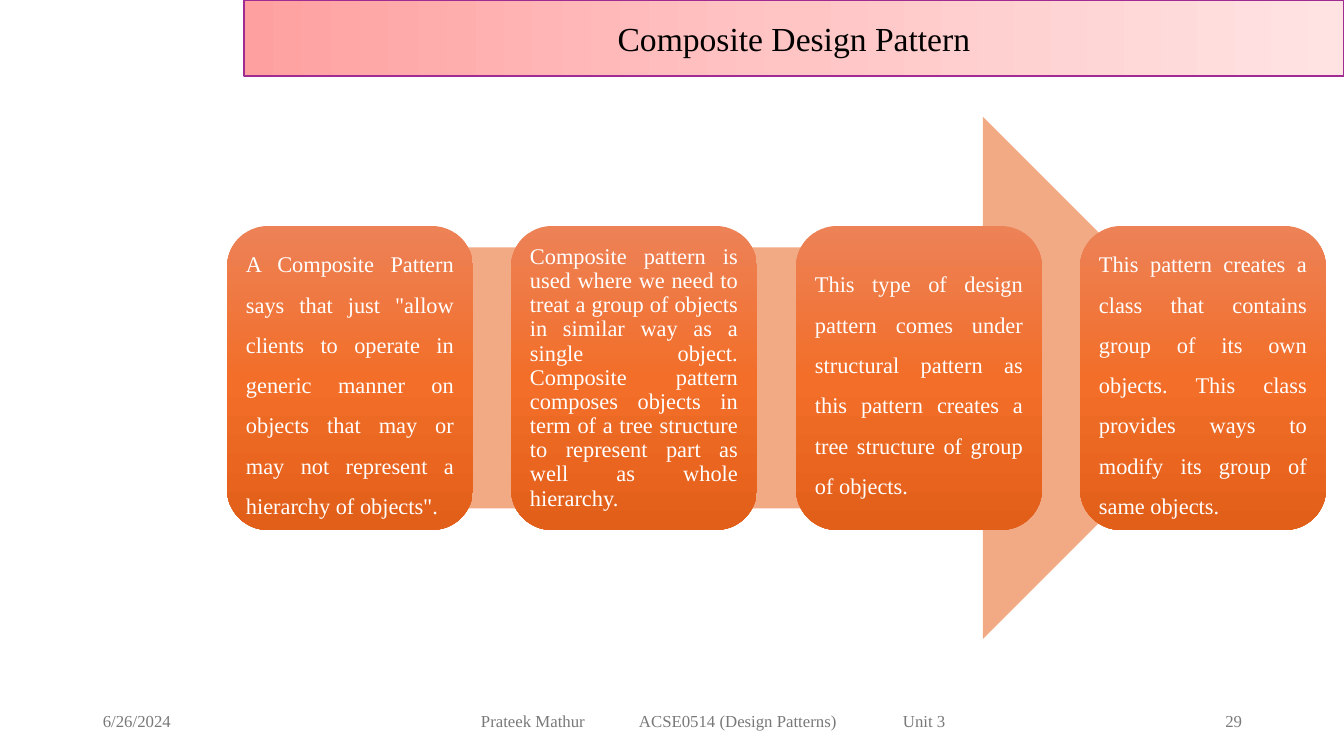
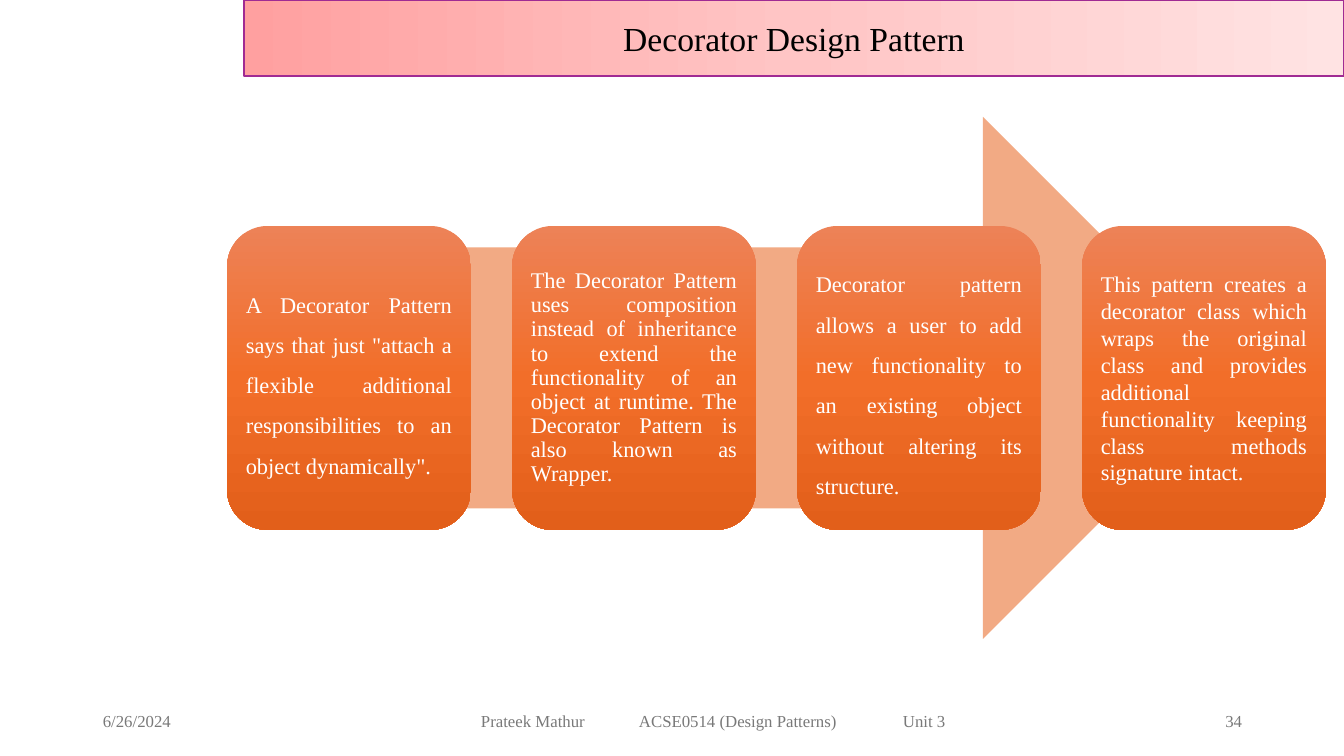
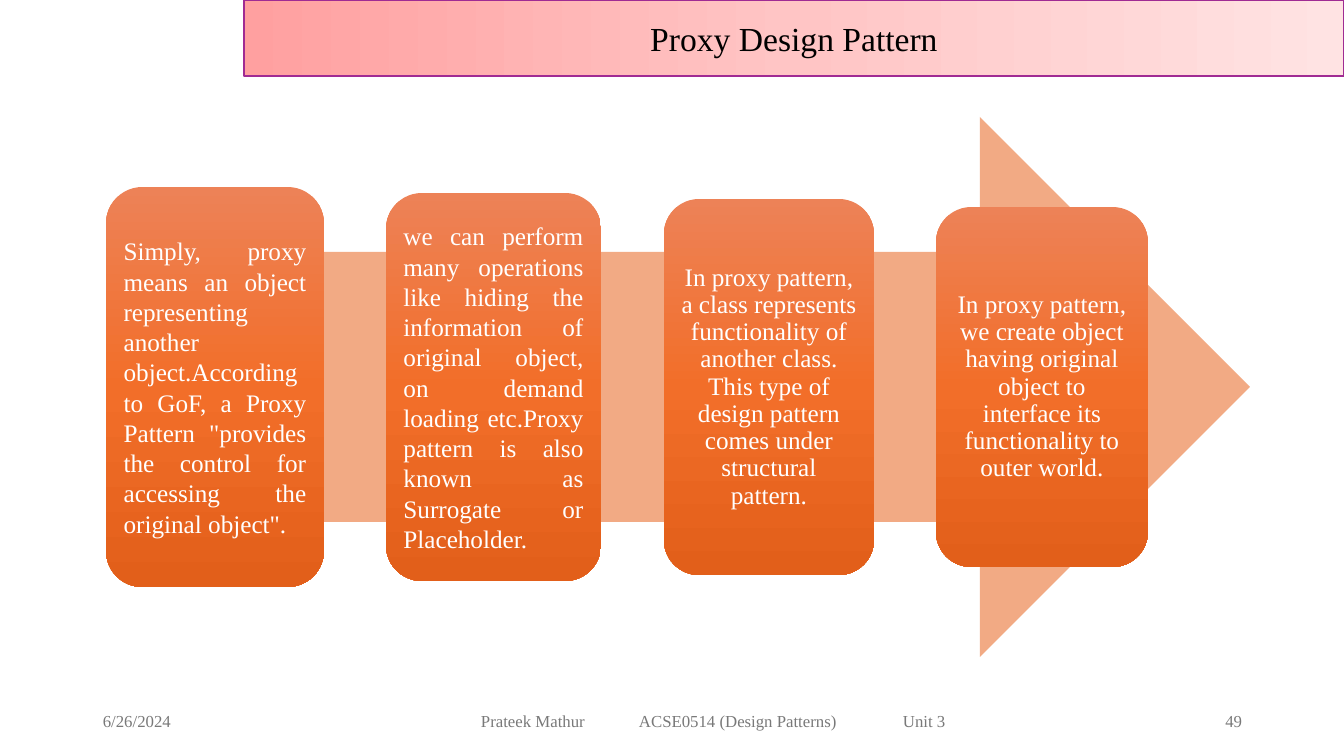
from copy import deepcopy

from lxml import etree
from pptx import Presentation
from pptx.dml.color import RGBColor
from pptx.enum.shapes import MSO_SHAPE
from pptx.enum.text import MSO_ANCHOR, PP_ALIGN
from pptx.oxml.ns import qn
from pptx.util import Pt

RECTANGLE = MSO_SHAPE.RECTANGLE
ROUNDED = MSO_SHAPE.ROUNDED_RECTANGLE
ARROW = MSO_SHAPE.RIGHT_ARROW
MIDDLE = MSO_ANCHOR.MIDDLE
LEFT, CENTER, RIGHT, JUSTIFY = PP_ALIGN.LEFT, PP_ALIGN.CENTER, PP_ALIGN.RIGHT, PP_ALIGN.JUSTIFY

EMU_PER_PX = 914400 / 100.8
FONT = "Times New Roman"
COLORS = {
    "title": "000000",
    "title_line": "A02B93",
    "footer": "797979",
    "arrow": "F2AA84",
    "card_text": "FFFFFF",
}
BAND_GRADIENT = ["FFA0A0", "FFC5C5", "FFE3E3"]
CARD_GRADIENT = ["ED8257", "F26E29", "E25F1A"]
ARROW_TOP = 117
CARD_INSET = 7
DATE = "6/26/2024"
COURSE = "Prateek Mathur\tACSE0514 (Design Patterns)\tUnit 3"
COURSE_INSET = 35
COURSE_TABS = [158, 422]


def px(*lengths):
    return [round(length * EMU_PER_PX) for length in lengths]


def write(shape, text, size, color, alignment, spacing=1.0, inset=None):
    frame = shape.text_frame
    frame.word_wrap = True
    frame.vertical_anchor = MIDDLE
    if inset is not None:
        for side in ("left", "top", "right", "bottom"):
            setattr(frame, f"margin_{side}", px(inset)[0])
    paragraph = frame.paragraphs[0]
    for name, value in {"alignment": alignment, "line_spacing": spacing}.items():
        setattr(paragraph, name, value)
    run = paragraph.add_run()
    run.text = text
    for name, value in {"name": FONT, "size": Pt(size)}.items():
        setattr(run.font, name, value)
    run.font.color.rgb = RGBColor.from_string(COLORS[color])
    return paragraph


PATTERNS = [
    {
        "title": "Composite Design Pattern",
        "number": "29",
        "arrow": (309, 935, 522),
        "size": 16,
        "boxes": [(round(227 + i * 853 / 3), 246, 304) for i in range(4)],
        "texts": [
            (JUSTIFY, 1.5, 'A Composite Pattern says that just "allow clients to operate in generic manner on objects that may or may not represent a hierarchy of objects".'),
            (JUSTIFY, 0.9, "Composite pattern is used where we need to treat a group of objects in similar way as a single object. Composite pattern composes objects in term of a tree structure to represent part as well as whole hierarchy."),
            (JUSTIFY, 1.5, "This type of design pattern comes under structural pattern as this pattern creates a tree structure of group of objects."),
            (JUSTIFY, 1.5, "This pattern creates a class that contains group of its own objects. This class provides ways to modify its group of same objects."),
        ],
    },
    {
        "title": "Decorator Design Pattern",
        "number": "34",
        "arrow": (309, 935, 522),
        "size": 16,
        "boxes": [(227 + i * 285, 244, 304) for i in range(4)],
        "texts": [
            (JUSTIFY, 1.5, 'A Decorator Pattern says that just "attach a flexible additional responsibilities to an object dynamically".'),
            (JUSTIFY, 0.9, "The Decorator Pattern uses composition instead of inheritance to extend the functionality of an object at runtime. The Decorator Pattern is also known as Wrapper."),
            (JUSTIFY, 1.5, "Decorator pattern allows a user to add new functionality to an existing object without altering its structure."),
            (JUSTIFY, 1.0, "This pattern creates a decorator class which wraps the original class and provides additional functionality keeping class methods signature intact."),
        ],
    },
    {
        "title": "Proxy Design Pattern",
        "number": "49",
        "arrow": (186, 1064, 540),
        "size": 18,
        "boxes": [(106, 218, 400), (386, 215, 388), (664, 210, 376), (936, 212, 360)],
        "texts": [
            (JUSTIFY, 1.0, 'Simply, proxy means an object representing another object.According to GoF, a Proxy Pattern "provides the control for accessing the original object".'),
            (JUSTIFY, 1.0, "we can perform many operations like hiding the information of original object, on demand loading etc.Proxy pattern is also known as Surrogate or Placeholder."),
            (CENTER, 0.9, "In proxy pattern, a class represents functionality of another class. This type of design pattern comes under structural pattern."),
            (CENTER, 0.9, "In proxy pattern, we create object having original object to interface its functionality to outer world."),
        ],
    },
]

presentation = Presentation()
presentation.slide_width, presentation.slide_height = px(1344, 756)

for pattern in PATTERNS:
    slide = presentation.slides.add_slide(presentation.slide_layouts[6])

    band = slide.shapes.add_shape(RECTANGLE, *px(244, 0, 1100, 76))
    band.line.color.rgb = RGBColor.from_string(COLORS["title_line"])
    band.line.width = Pt(1)
    write(band, pattern["title"], 24, "title", CENTER)

    footers = [
        (93, 302, DATE, LEFT),
        (446, 538, COURSE, LEFT),
        (950, 302, pattern["number"], RIGHT),
    ]
    for left, width, text, alignment in footers:
        footer = slide.shapes.add_textbox(*px(left, 701, width, 40))
        paragraph = write(footer, text, 12, "footer", alignment)
        if text == COURSE:
            footer.text_frame.margin_left = px(COURSE_INSET)[0]
            tabs = etree.SubElement(paragraph._p.get_or_add_pPr(), qn("a:tabLst"))
            for position in px(*COURSE_TABS):
                etree.SubElement(tabs, qn("a:tab"), pos=str(position), algn="l")

    left, width, height = pattern["arrow"]
    center = ARROW_TOP + height // 2
    arrow = slide.shapes.add_shape(ARROW, *px(left, ARROW_TOP, width, height))
    arrow.shadow.inherit = False
    arrow.fill.solid()
    arrow.fill.fore_color.rgb = RGBColor.from_string(COLORS["arrow"])
    arrow.line.fill.background()

    gradients = [(band, BAND_GRADIENT, 0)]
    for (left, width, height), (alignment, spacing, text) in zip(pattern["boxes"], pattern["texts"]):
        card = slide.shapes.add_shape(ROUNDED, *px(left, center - height // 2, width, height))
        card.line.fill.background()
        write(card, text, pattern["size"], "card_text", alignment, spacing, CARD_INSET)
        gradients.append((card, CARD_GRADIENT, 270))

    for shape, colors, angle in gradients:
        shape.shadow.inherit = False
        shape.fill.gradient()
        shape.fill.gradient_angle = angle
        stop_list = shape._element.spPr.find(qn("a:gradFill")).find(qn("a:gsLst"))
        stop_list.append(deepcopy(stop_list[-1]))
        for stop, color, position in zip(shape.fill.gradient_stops, colors, (0, 0.5, 1)):
            stop.color.rgb = RGBColor.from_string(color)
            stop.position = position

presentation.save("out.pptx")
